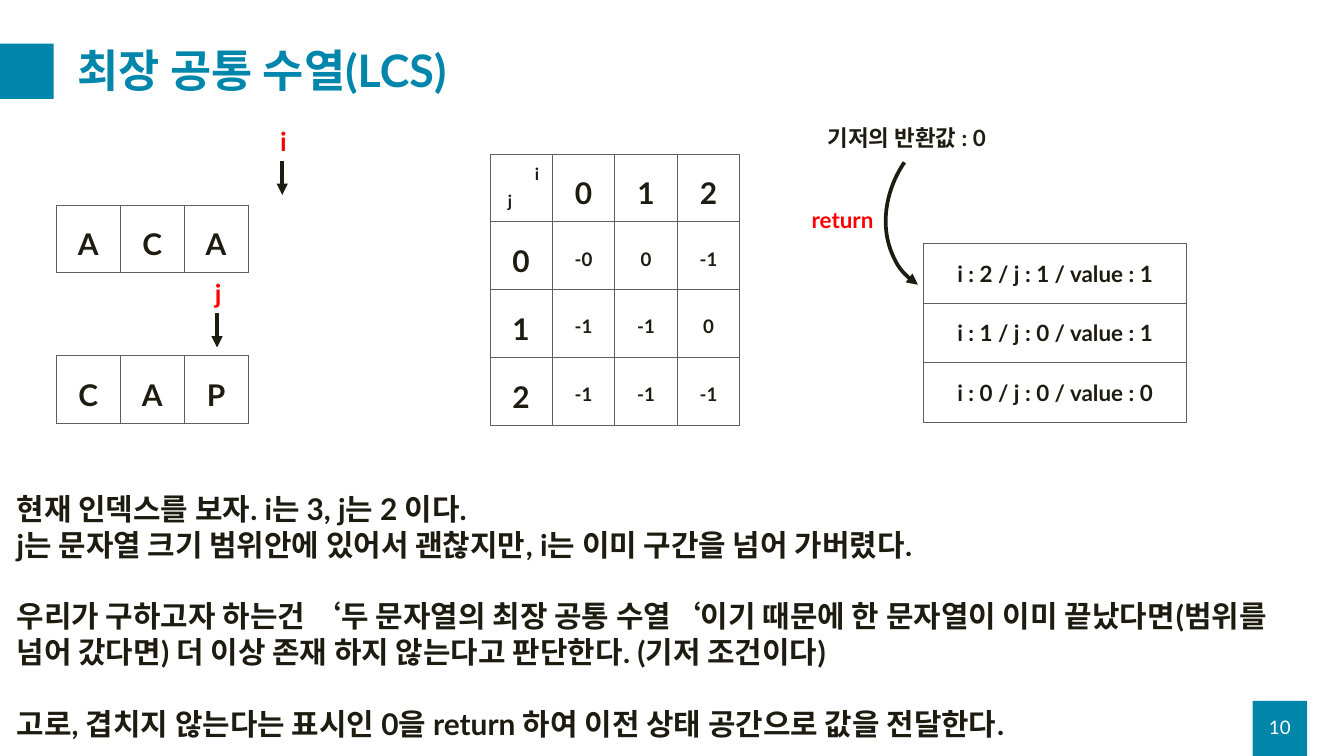
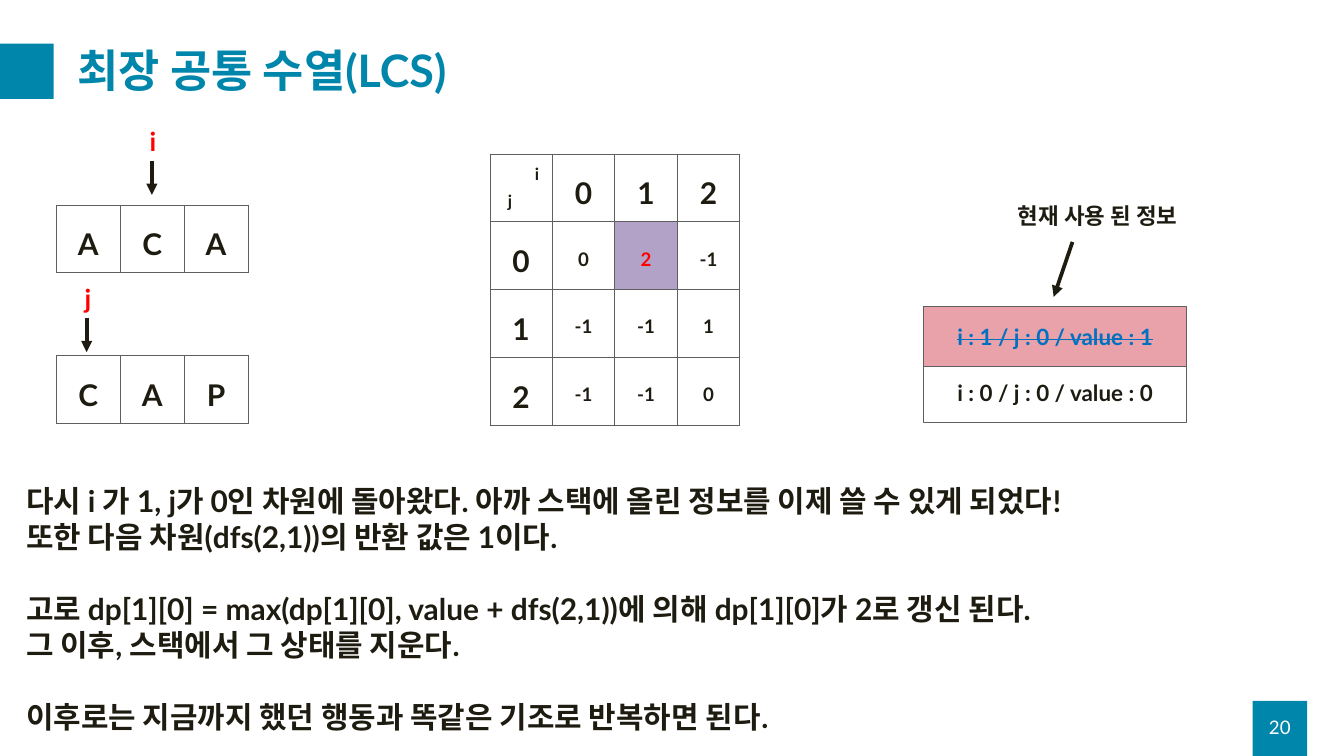
"""Build two slides that trace the longest common subsequence recursion."""
from lxml import etree
from pptx import Presentation
from pptx.dml.color import RGBColor
from pptx.enum.shapes import MSO_CONNECTOR, MSO_SHAPE
from pptx.enum.text import MSO_ANCHOR, PP_ALIGN
from pptx.oxml.ns import qn
from pptx.util import Inches, Pt

TEAL = RGBColor(0x00, 0x86, 0xAB)
INK = RGBColor(0x1E, 0x1C, 0x11)
GRAY = RGBColor(0x5F, 0x5F, 0x5F)
WHITE = RGBColor(0xFF, 0xFF, 0xFF)
RED = RGBColor(0xFF, 0x00, 0x00)
BLUE = RGBColor(0x00, 0x70, 0xC0)
PURPLE = RGBColor(0xB3, 0xA2, 0xC7)
PINK = RGBColor(0xE9, 0xA1, 0xAA)

RECT, ARC = MSO_SHAPE.RECTANGLE, MSO_SHAPE.ARC
STRAIGHT = MSO_CONNECTOR.STRAIGHT
CENTER, LEFT = PP_ALIGN.CENTER, PP_ALIGN.LEFT
TOP, MIDDLE = MSO_ANCHOR.TOP, MSO_ANCHOR.MIDDLE

FONT = "Lato"
TITLE = "최장 공통 수열(LCS)"
WORDS = ("ACA", "CAP")
WORD_LEFT, WORD_TOPS = 0.84, (3.05, 5.29)
LETTER_WIDTH, CELL_HEIGHT = 0.95, 1.01
POINTER_START, POINTER_STEP = 1.29, 0.97
FRAME_LEFT, FRAME_WIDTH, FRAME_HEIGHT = 13.74, 3.92, 0.89
STACK_BOTTOM = 6.29


def style(paragraph, size, color=INK, bold=True, align=LEFT, spacing=None):
    """Set the font and alignment of a paragraph."""
    paragraph.alignment = align
    if spacing:
        paragraph.line_spacing = spacing
    font = paragraph.font
    font.name, font.size, font.bold = FONT, Pt(size), bold
    font.color.rgb = color


def add_label(slide, box, text, size, anchor=TOP, **look):
    """Place one line of styled text in a box."""
    frame = slide.shapes.add_textbox(*map(Inches, box)).text_frame
    frame.word_wrap = True
    frame.vertical_anchor = anchor
    frame.text = text
    style(frame.paragraphs[0], size, **look)


def add_block(slide, box, fill, outline=None):
    """Draw a flat rectangle."""
    block = slide.shapes.add_shape(RECT, *map(Inches, box))
    block.shadow.inherit = False
    block.fill.solid()
    block.fill.fore_color.rgb = fill
    if outline:
        block.line.color.rgb = outline
        block.line.width = Pt(1)
    else:
        block.line.fill.background()
    return block


def ink_line(shape, end):
    """Give a line its weight, colour and an arrowhead at one end."""
    shape.line.color.rgb = INK
    shape.line.width = Pt(4)
    etree.SubElement(shape.line._get_or_add_ln(), qn(f"a:{end}"), type="triangle")


def add_arrow(slide, start, finish):
    """Draw a straight arrow between two points."""
    arrow = slide.shapes.add_connector(STRAIGHT, *map(Inches, start + finish))
    ink_line(arrow, "tailEnd")
    etree.SubElement(arrow._element.spPr, qn("a:effectLst"))


def add_borders(cell):
    """Outline a table cell in gray."""
    properties = cell._tc.get_or_add_tcPr()
    for side in ("lnL", "lnR", "lnT", "lnB"):
        border = etree.SubElement(properties, qn(f"a:{side}"), w=str(Pt(1)))
        fill = etree.SubElement(border, qn("a:solidFill"))
        etree.SubElement(fill, qn("a:srgbClr"), val=str(GRAY))


def add_grid(slide, left, top, column_width, rows):
    """Build a plain bordered table of large centred text and return it."""
    columns = len(rows[0])
    table = slide.shapes.add_table(
        len(rows), columns, Inches(left), Inches(top),
        Inches(column_width * columns), Inches(CELL_HEIGHT * len(rows))).table
    table.first_row = table.horz_banding = False
    for r, row in enumerate(rows):
        for c, text in enumerate(row):
            cell = table.cell(r, c)
            add_borders(cell)
            cell.fill.background()
            cell.text = text
            style(cell.text_frame.paragraphs[0], 32, align=CENTER, spacing=1.5)
    return table


def add_frame(slide, page):
    """Add the title, its band and the page number."""
    add_block(slide, (18.64, 10.43, 0.81, 0.82), TEAL)
    add_block(slide, (-0.01, 0.65, 0.81, 0.82), TEAL)
    add_label(slide, (1.06, 0.5, 18.25, 1.18), TITLE, 48, MIDDLE,
              color=TEAL, spacing=0.9)
    add_label(slide, (18.64, 10.52, 0.81, 0.6), page, 20, MIDDLE,
              color=WHITE, bold=False, align=CENTER)


def add_pointer(slide, name, index, top):
    """Mark a letter position with a named arrow."""
    x = POINTER_START + POINTER_STEP * index
    add_arrow(slide, (x, top + 0.58), (x, top + 1.09))
    add_label(slide, (x - 0.13, top, 1.06, 0.57), name, 28, color=RED)


def add_words(slide, pointers):
    """Draw both words with the pointers i and j above them."""
    for word, top in zip(WORDS, WORD_TOPS):
        add_grid(slide, WORD_LEFT, top, LETTER_WIDTH, [list(word)])
    for pointer in pointers:
        add_pointer(slide, *pointer)


def add_memo(slide, left, top, values, updated=None):
    """Draw the dp table with its i and j headings."""
    rows = [["", "0", "1", "2"]]
    rows += [[str(j), *line] for j, line in enumerate(values)]
    table = add_grid(slide, left, top, 0.93, rows)
    for j in range(len(values)):
        for i in range(len(values[j])):
            cell = table.cell(j + 1, i + 1)
            changed = (j, i) == updated
            style(cell.text_frame.paragraphs[0], 20, RED if changed else INK,
                  align=CENTER, spacing=2.0)
            if changed:
                cell.fill.solid()
                cell.fill.fore_color.rgb = PURPLE
    add_label(slide, (left + 0.57, top + 0.1, 1.06, 0.4), "i", 18)
    add_label(slide, (left + 0.17, top + 0.5, 1.06, 0.4), "j", 18)


def add_call(slide, top, call, used=False):
    """Draw one stack frame, struck out once it has been used."""
    i, j, value = call
    block = add_block(slide, (FRAME_LEFT, top, FRAME_WIDTH, FRAME_HEIGHT),
                      PINK if used else WHITE, GRAY)
    block.text_frame.vertical_anchor = MIDDLE
    paragraph = block.text_frame.paragraphs[0]
    run = paragraph.add_run()
    run.text = f"i : {i} / j : {j} / value : {value}"
    style(paragraph, 24, BLUE if used else INK, align=CENTER)
    if used:
        run._r.get_or_add_rPr().set("strike", "sngStrike")


def add_stack(slide, calls):
    """Pile up stack frames from the bottom."""
    for level, call in enumerate(calls, 1):
        add_call(slide, STACK_BOTTOM - level * FRAME_HEIGHT, call)


def add_return(slide, left, top):
    """Show the base value going back to the top of the stack."""
    add_label(slide, (left + 0.24, top, 4.07, 0.5), "기저의 반환값 : 0", 24)
    add_label(slide, (left, top + 1.22, 1.31, 0.5), "return", 24, color=RED)
    curve = slide.shapes.add_shape(
        ARC, *map(Inches, (left + 1.27, top - 0.1, 2.29, 2.75)))
    curve.adjustments[0], curve.adjustments[1] = 162, 1.698
    curve.rotation = 212.3
    curve.shadow.inherit = False
    curve.fill.background()
    ink_line(curve, "headEnd")


def add_used_note(slide, left, top):
    """Point out the stack frame in use."""
    add_arrow(slide, (left + 0.91, top + 0.64), (left + 0.63, top + 1.46))
    add_label(slide, (left, top, 4.07, 0.5), "현재 사용 된 정보", 24)


def add_explanation(slide, left, top, groups):
    """Write groups of lines with a line's gap between them."""
    frame = slide.shapes.add_textbox(
        *map(Inches, (left, top, 19.16, 3.87))).text_frame
    frame.word_wrap = True
    paragraph = None
    for group in groups:
        for n, line in enumerate(group):
            first = paragraph is None
            paragraph = frame.paragraphs[0] if first else frame.add_paragraph()
            paragraph.text = line
            if n == 0 and not first:
                paragraph.space_before = Pt(38.4)
            style(paragraph, 32)


def build_base_case(slide):
    """Slide on reaching the base case."""
    add_frame(slide, "10")
    add_explanation(slide, 0.15, 7.25, [
        ["현재 인덱스를 보자. i는 3, j는 2 이다.",
         "j는 문자열 크기 범위안에 있어서 괜찮지만, i는 이미 구간을 넘어 가버렸다."],
        ["우리가 구하고자 하는건 ‘두 문자열의 최장 공통 수열‘이기 때문에 한 문자열이 "
         "이미 끝났다면(범위를 넘어 갔다면) 더 이상 존재 하지 않는다고 판단한다. "
         "(기저 조건이다)"],
        ["고로, 겹치지 않는다는 표시인 0을 return 하여 이전 상태 공간으로 값을 전달한다."],
    ])
    add_words(slide, [("i", 3, 1.81), ("j", 2, 4.08)])
    add_memo(slide, 7.29, 2.29,
             [("-0", "0", "-1"), ("-1", "-1", "0"), ("-1", "-1", "-1")])
    add_stack(slide, [(0, 0, 0), (1, 0, 1), (2, 1, 1)])
    add_return(slide, 11.98, 1.8)


def build_update(slide):
    """Slide on updating dp from the stack."""
    add_frame(slide, "20")
    add_explanation(slide, 0.29, 7.14, [
        ["다시 i 가 1, j가 0인 차원에 돌아왔다. 아까 스택에 올린 정보를 이제 쓸 수 있게 되었다!",
         "또한 다음 차원(dfs(2,1))의 반환 값은 1이다."],
        ["고로 dp[1][0] = max(dp[1][0], value + dfs(2,1))에 의해 dp[1][0]가 2로 갱신 된다.",
         "그 이후, 스택에서 그 상태를 지운다."],
        ["이후로는 지금까지 했던 행동과 똑같은 기조로 반복하면 된다."],
    ])
    add_words(slide, [("j", 0, 4.15), ("i", 1, 1.81)])
    add_memo(slide, 7.29, 2.29,
             [("0", "2", "-1"), ("-1", "-1", "1"), ("-1", "-1", "0")],
             updated=(0, 1))
    add_stack(slide, [(0, 0, 0)])
    add_call(slide, 4.56, (1, 0, 1), used=True)
    add_used_note(slide, 15.05, 2.96)


def main():
    """Build and save the presentation."""
    deck = Presentation()
    deck.slide_width, deck.slide_height = Inches(20), Inches(11.25)
    blank = deck.slide_layouts[6]
    for build in (build_base_case, build_update):
        build(deck.slides.add_slide(blank))
    deck.save("out.pptx")


if __name__ == "__main__":
    main()
